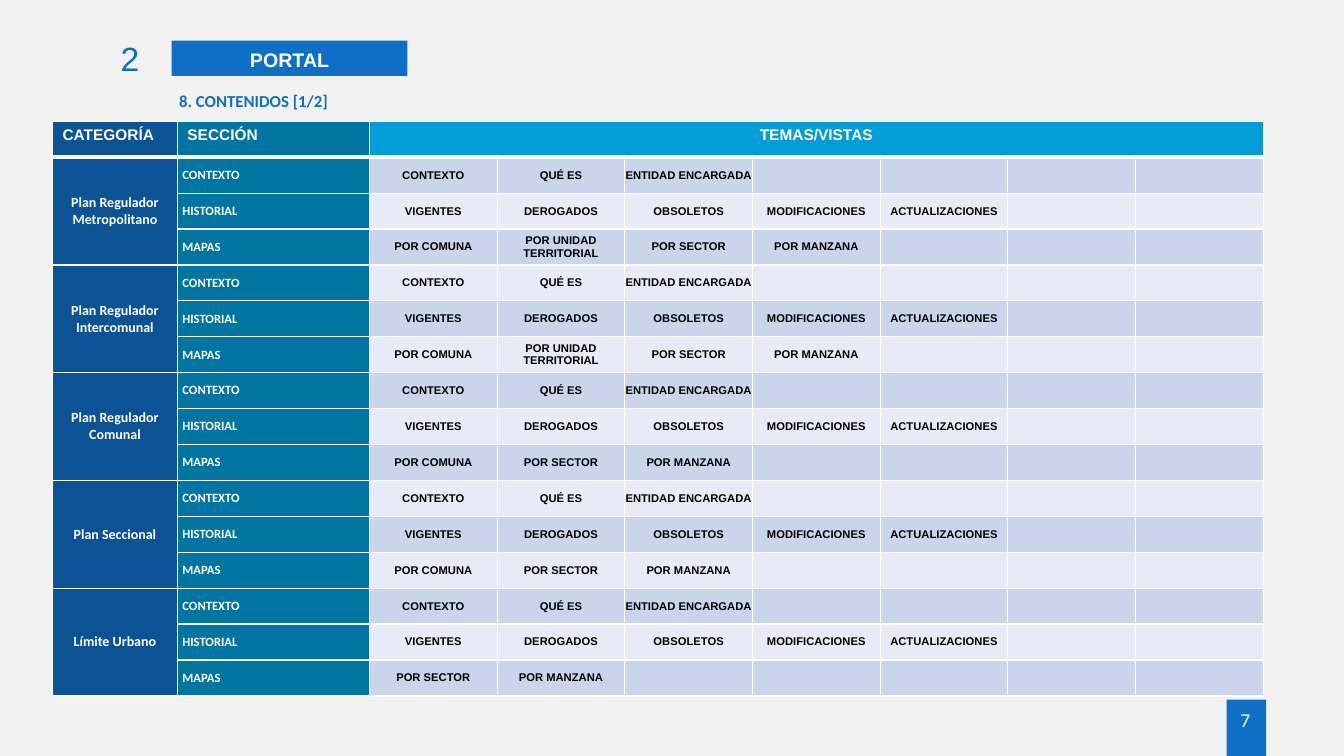
"""Build the contents slide of the planning portal."""
from dataclasses import dataclass
from typing import Any, Optional

from lxml.etree import SubElement as Sub
from pptx import Presentation
from pptx.dml.color import RGBColor as RGB
from pptx.enum.shapes import MSO_SHAPE as Kind
from pptx.enum.text import MSO_ANCHOR as Anchor, PP_ALIGN as Align
from pptx.oxml.ns import qn
from pptx.util import Emu, Pt

PX = 3048
WIDE, HIGH = 4000, 2250
COLS = [372, 572] + [380] * 7
ROW = 107

HUES = {
    "back": "F2F2F2", "blue": "0F6FC6", "white": "FFFFFF", "black": "000000",
    "navy": "0B5394", "teal": "0075A2", "sky": "009DD9",
    "dark": "CAD4EA", "light": "E6EBF5",
}


@dataclass(frozen=True)
class Look:
    """Text format: size, font, ink, side, insets and anchor."""
    size: int
    face: str
    ink: str
    side: Align = Align.CENTER
    pad: tuple[int, int] = (30, 15)
    hold: Anchor = Anchor.TOP
    bold: bool = True
    gap: Optional[float] = None


@dataclass(frozen=True)
class Box:
    """A block of text at a place, with or without a fill."""
    spot: tuple[int, int, int, int]
    text: str
    look: Look
    fill: Optional[str] = None


HEAD = Look(11, "Arial", "white", Align.LEFT)
TOPIC_HEAD = Look(11, "Arial", "white")
GROUP = Look(10, "Calibri", "white", hold=Anchor.MIDDLE)
PART = Look(9, "Calibri", "white", Align.LEFT, (15, 15), Anchor.MIDDLE)
TOPIC = Look(8, "Arial", "black", pad=(0, 0), hold=Anchor.MIDDLE)
PAGE = Look(14, "Calibri", "white", pad=(15, 6), bold=False)

BOXES = [
    Box((3651, 2082, 117, 168), "", PAGE, "blue"),
    Box((3615, 2100, 183, 99), "7", PAGE),
    Box((511, 121, 702, 105), "PORTAL", Look(14, "Arial", "white", gap=1.1), "blue"),
    Box((177, 97, 267, 150), "2", Look(24, "Arial", "blue", Align.RIGHT, bold=False)),
    Box((504, 255, 1488, 90), "8. CONTENIDOS [1/2]",
        Look(12, "Calibri", "blue", Align.LEFT)),
]

ABOUT = ["CONTEXTO", "QUÉ ES", "ENTIDAD ENCARGADA"]
PAST = ["VIGENTES", "DEROGADOS", "OBSOLETOS", "MODIFICACIONES", "ACTUALIZACIONES"]
ENDS = ["POR SECTOR", "POR MANZANA"]
TOWN = ["POR COMUNA"] + ENDS
ZONE = ["POR COMUNA", "POR UNIDAD TERRITORIAL"] + ENDS
PLANS = {
    "Plan Regulador Metropolitano": ZONE,
    "Plan Regulador Intercomunal": ZONE,
    "Plan Regulador Comunal": TOWN,
    "Plan Seccional": TOWN,
    "Límite Urbano": ENDS,
}


def tint(name: str) -> RGB:
    """Return a named colour."""
    return RGB.from_string(HUES[name])


def assign(item: Any, values: dict[str, Any]) -> None:
    """Set each value on the item."""
    for name, value in values.items():
        setattr(item, name, value)


def paint(fill: Any, name: str) -> None:
    """Apply a solid fill."""
    fill.solid()
    fill.fore_color.rgb = tint(name)


def write(host: Any, frame: Any, text: str, look: Look) -> None:
    """Put formatted text in a cell or a frame."""
    x, y = (Emu(side * PX) for side in look.pad)
    assign(host, {"margin_left": x, "margin_right": x, "margin_top": y,
                  "margin_bottom": y, "vertical_anchor": look.hold})
    if not text:
        return
    para = frame.paragraphs[0]
    assign(para, {"alignment": look.side, "line_spacing": look.gap})
    run = para.add_run()
    run.text = text
    assign(run.font, {"size": Pt(look.size), "name": look.face, "bold": look.bold})
    run.font.color.rgb = tint(look.ink)


def place(slide: Any, box: Box) -> None:
    """Draw one box."""
    spot = [Emu(side * PX) for side in box.spot]
    if box.fill:
        shape = slide.shapes.add_shape(Kind.RECTANGLE, *spot)
        shape.shadow.inherit = False
        paint(shape.fill, box.fill)
        shape.line.fill.background()
    else:
        shape = slide.shapes.add_textbox(*spot)
    shape.text_frame.word_wrap = True
    write(shape.text_frame, shape.text_frame, box.text, box.look)


def edge(cell: Any, base: int) -> None:
    """Add white borders, with the given width below."""
    props = cell._tc.get_or_add_tcPr()
    for side, width in {"L": 1, "R": 1, "T": 1, "B": base}.items():
        line = Sub(props, qn(f"a:ln{side}"), w=str(Pt(width)))
        Sub(Sub(line, qn("a:solidFill")), qn("a:srgbClr"), val=HUES["white"])


def fill_cell(cell: Any, text: str, look: Look, fill: str, base: int = 1) -> None:
    """Draw one table cell."""
    edge(cell, base)
    paint(cell.fill, fill)
    write(cell, cell.text_frame, text, look if text else TOPIC)


def draw_table(slide: Any) -> None:
    """Draw the table of plans and topics."""
    count = 1 + 3 * len(PLANS)
    spot = [Emu(side * PX) for side in (156, 361, sum(COLS), ROW * count)]
    table = slide.shapes.add_table(count, len(COLS), *spot).table
    assign(table, {"first_row": False, "horz_banding": False})
    for col, width in zip(table.columns, COLS):
        col.width = Emu(width * PX)
    for row in table.rows:
        row.height = Emu(ROW * PX)

    heads = [("CATEGORÍA", HEAD, "navy"), ("SECCIÓN", HEAD, "teal"),
             ("TEMAS/VISTAS", TOPIC_HEAD, "sky")] + [("", TOPIC, "sky")] * 6
    for x, head in enumerate(heads):
        fill_cell(table.cell(0, x), *head, base=3)
    table.cell(0, 2).merge(table.cell(0, len(COLS) - 1))

    for rank, (plan, maps) in enumerate(PLANS.items()):
        top = 1 + 3 * rank
        parts = {"CONTEXTO": ABOUT, "HISTORIAL": PAST, "MAPAS": maps}
        for y, (part, topics) in enumerate(parts.items(), top):
            fill_cell(table.cell(y, 0), plan if y == top else "", GROUP, "navy")
            fill_cell(table.cell(y, 1), part, PART, "teal")
            band = "dark" if y % 2 else "light"
            for x in range(2, len(COLS)):
                text = topics[x - 2] if x - 2 < len(topics) else ""
                fill_cell(table.cell(y, x), text, TOPIC, band)
        table.cell(top, 0).merge(table.cell(top + 2, 0))


def main() -> None:
    """Build and save the deck."""
    deck = Presentation()
    assign(deck, {"slide_width": Emu(WIDE * PX), "slide_height": Emu(HIGH * PX)})
    slide = deck.slides.add_slide(deck.slide_layouts[6])
    paint(slide.background.fill, "back")
    for box in BOXES:
        place(slide, box)
    draw_table(slide)
    deck.save("out.pptx")


if __name__ == "__main__":
    main()
